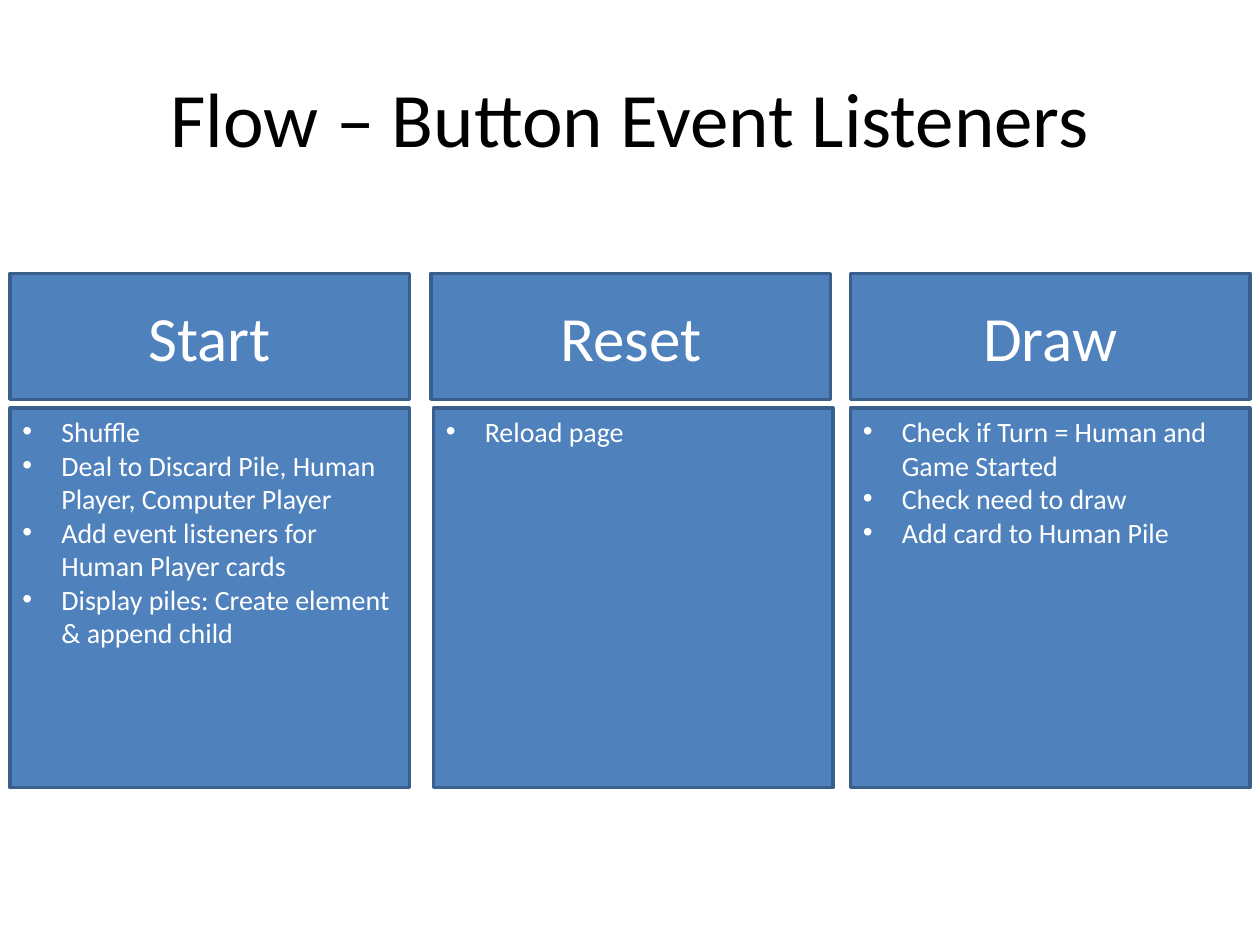
from lxml.etree import SubElement
from pptx import Presentation
from pptx.dml.color import RGBColor
from pptx.enum.shapes import MSO_SHAPE
from pptx.enum.text import MSO_ANCHOR, PP_ALIGN
from pptx.oxml.ns import qn
from pptx.util import Inches, Pt

COLORS = {"text": "000000", "fill": "4F81BD", "line": "3A5F8C", "label": "FFFFFF"}


class Deck:
    """Holds the style and the current slide."""

    font = "Calibri"
    indent = 0.31

    def __init__(self, prs):
        self.s = prs.slides.add_slide(prs.slide_layouts[6])

    def color(self, name):
        return RGBColor.from_string(COLORS[name])

    def add_text(self, sp, lines, size, color, align, anchor, bullets=False):
        tf = sp.text_frame
        for name, value in {"word_wrap": True, "vertical_anchor": anchor}.items():
            setattr(tf, name, value)
        for i, line in enumerate(lines):
            p = tf.add_paragraph() if i else tf.paragraphs[0]
            p.alignment = align
            r = p.add_run()
            r.text = line
            for name, value in {"name": self.font, "size": Pt(size)}.items():
                setattr(r.font, name, value)
            r.font.color.rgb = self.color(color)
            if bullets:
                self.bullet(p)

    def bullet(self, p):
        pPr = p._p.get_or_add_pPr()
        pPr.set("marL", str(Inches(self.indent)))
        pPr.set("indent", str(-Inches(self.indent)))
        SubElement(pPr, qn("a:buFont")).set("typeface", "Arial")
        SubElement(pPr, qn("a:buChar")).set("char", "•")

    def title(self, text, *box):
        sp = self.s.shapes.add_textbox(*map(Inches, box))
        self.add_text(sp, [text], 44, "text", PP_ALIGN.CENTER, MSO_ANCHOR.MIDDLE)

    def box(self, *box):
        sp = self.s.shapes.add_shape(MSO_SHAPE.RECTANGLE, *map(Inches, box))
        sp.shadow.inherit = False
        sp.fill.solid()
        sp.fill.fore_color.rgb = self.color("fill")
        sp.line.color.rgb = self.color("line")
        sp.line.width = Pt(2)
        return sp

    def header(self, text, *box):
        self.add_text(self.box(*box), [text], 36, "label", PP_ALIGN.CENTER, MSO_ANCHOR.MIDDLE)

    def steps(self, lines, *box):
        self.add_text(self.box(*box), lines, 16, "label", PP_ALIGN.LEFT, MSO_ANCHOR.TOP, True)


prs = Presentation()
prs.slide_width, prs.slide_height = Inches(10), Inches(7.5)
deck = Deck(prs)
deck.title("Flow – Button Event Listeners", 0.5, 0.3, 9, 1.25)

WIDTH = 3.17
BUTTONS = [
    ("Start", 0.08, 0.08, [
        "Shuffle",
        "Deal to Discard Pile, Human Player, Computer Player",
        "Add event listeners for Human Player cards",
        "Display piles: Create element & append child",
    ]),
    ("Reset", 3.42, 3.44, ["Reload page"]),
    ("Draw", 6.75, 6.75, [
        "Check if Turn = Human and Game Started",
        "Check need to draw",
        "Add card to Human Pile",
    ]),
]
for name, header_left, steps_left, lines in BUTTONS:
    deck.header(name, header_left, 2.17, WIDTH, 1)
    deck.steps(lines, steps_left, 3.24, WIDTH, 3.01)

prs.save("out.pptx")
